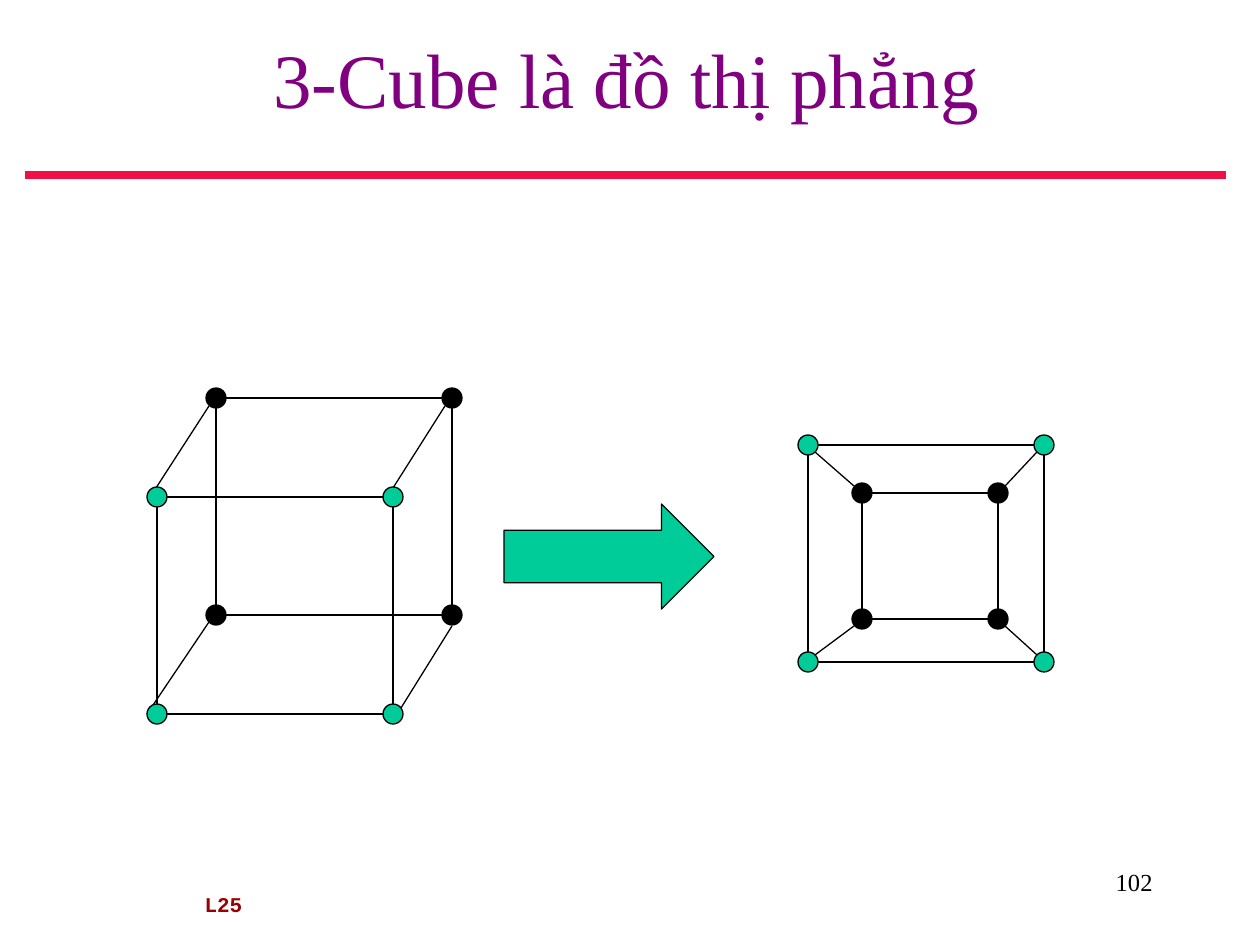
from dataclasses import dataclass
from itertools import product

from lxml import etree
from pptx import Presentation
from pptx import util as u
from pptx.dml.color import RGBColor
from pptx.enum import shapes, text
from pptx.oxml.ns import qn


@dataclass(frozen=True)
class Theme:
    serif: str = "Times New Roman"
    mono: str = "Courier New"
    purple: str = "800080"
    red: str = "F01045"
    maroon: str = "990000"
    green: str = "00CC99"
    black: str = "000000"
    title: int = 44
    number: int = 14
    label: int = 12
    thin: float = 0.75
    thick: float = 4.5


T = Theme()
RADIUS = 10


def px(n):
    return u.Emu(round(n * 914400 / 126))


def rgb(color):
    return RGBColor.from_string(color)


def set_all(obj, values):
    for name, value in values.items():
        setattr(obj, name, value)


def add_line(slide, x1, y1, x2, y2, color=T.black, width=T.thin):
    c = slide.shapes.add_connector(
        shapes.MSO_CONNECTOR.STRAIGHT, *map(px, (x1, y1, x2, y2)))
    c.line.color.rgb = rgb(color)
    c.line.width = u.Pt(width)
    etree.SubElement(c._element.spPr, qn("a:effectLst"))


def add_shape(slide, kind, box, fill):
    sp = slide.shapes.add_shape(kind, *map(px, box))
    sp.shadow.inherit = False
    sp.fill.solid()
    sp.fill.fore_color.rgb = rgb(fill)
    sp.line.color.rgb = rgb(T.black)
    sp.line.width = u.Pt(T.thin)


def add_text(slide, box, words, align, color, anchor=text.MSO_ANCHOR.TOP, **font):
    tf = slide.shapes.add_textbox(*map(px, box)).text_frame
    set_all(tf, {"word_wrap": True, "vertical_anchor": anchor})
    p = tf.paragraphs[0]
    p.alignment = align
    r = p.add_run()
    r.text = words
    set_all(r.font, font)
    r.font.color.rgb = rgb(color)


def header(slide, box):
    """Title with a red rule below it."""
    x, y, w, h = box
    add_text(slide, (x, y, w, h - 20), "3-Cube là đồ thị phẳng",
             text.PP_ALIGN.CENTER, T.purple, text.MSO_ANCHOR.MIDDLE,
             name=T.serif, size=u.Pt(T.title))
    add_line(slide, x, y + h, x + w - 2, y + h, T.red, T.thick)


def footer(slide, box):
    x, y, w, h = box
    add_text(slide, (x, y + 24, 417, 50), "L25", text.PP_ALIGN.CENTER, T.maroon,
             name=T.mono, size=u.Pt(T.label), bold=True)
    add_text(slide, (x + w - 262, y, 262, 63), "102", text.PP_ALIGN.RIGHT, T.black,
             name=T.serif, size=u.Pt(T.number))


def cube_graph(slide, origin, green_face, black_face, spokes):
    """Two rectangular faces (x, y, w, h of node centres) joined by spokes."""
    ox, oy = origin
    nodes = []
    for (x, y, w, h), color in ((green_face, T.green), (black_face, T.black)):
        xs, ys = (ox + x, ox + x + w), (oy + y, oy + y + h)
        for cy in ys:
            add_line(slide, xs[0] + RADIUS, cy, xs[1] - RADIUS, cy)
        for cx in xs:
            add_line(slide, cx, ys[0] + RADIUS, cx, ys[1] - RADIUS)
        nodes += [(cx, cy, color) for cx, cy in product(xs, ys)]
    for x1, y1, x2, y2 in spokes:
        add_line(slide, ox + x1, oy + y1, ox + x2, oy + y2)
    for cx, cy, color in nodes:
        add_shape(slide, shapes.MSO_SHAPE.OVAL,
                  (cx - RADIUS, cy - RADIUS, 2 * RADIUS, 2 * RADIUS), color)


def main():
    prs = Presentation()
    set_all(prs, {"slide_width": px(1260), "slide_height": px(945)})
    slide = prs.slides.add_slide(prs.slide_layouts[6])
    header(slide, (25, 0, 1203, 175))
    footer(slide, (15, 861, 1150, 74))
    cube_graph(slide, (147, 388), (10, 109, 236, 217), (69, 10, 236, 217),
               [(62, 18, 9, 100), (298, 18, 246, 100),
                (305, 238, 254, 320), (62, 234, 0, 326)])
    cube_graph(slide, (798, 435), (10, 10, 236, 217), (64, 58, 136, 126),
               [(56, 51, 17, 17), (194, 65, 239, 17),
                (207, 191, 239, 220), (56, 191, 17, 220)])
    add_shape(slide, shapes.MSO_SHAPE.RIGHT_ARROW, (504, 504, 210, 105), T.green)
    prs.save("out.pptx")


if __name__ == "__main__":
    main()
